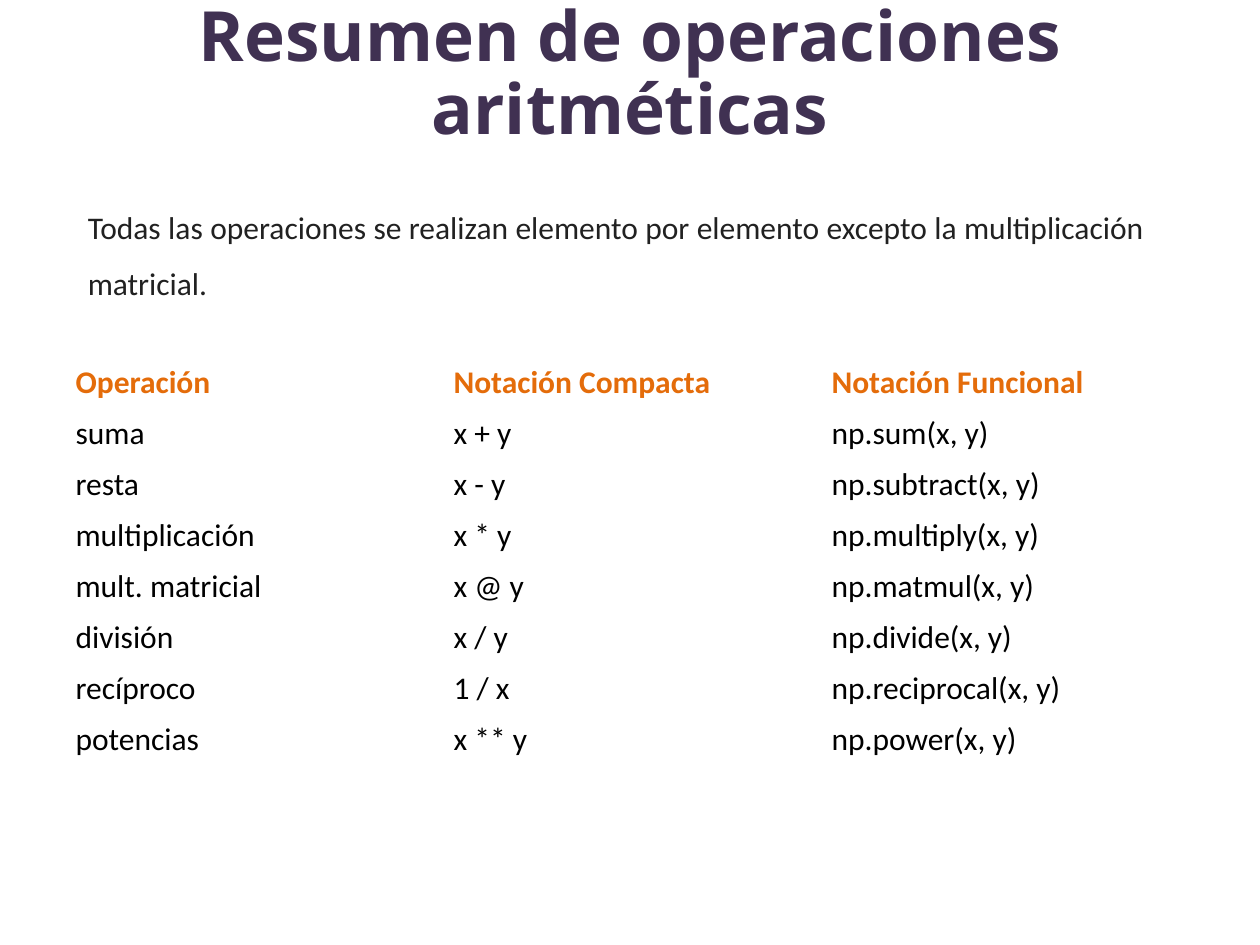
from pptx import Presentation
from pptx.dml.color import RGBColor
from pptx.enum.text import MSO_ANCHOR, MSO_AUTO_SIZE, PP_ALIGN
from pptx.util import Cm, Pt

MIDDLE = MSO_ANCHOR.MIDDLE
NO_AUTOFIT = MSO_AUTO_SIZE.NONE
LEFT, CENTER, JUSTIFY = PP_ALIGN.LEFT, PP_ALIGN.CENTER, PP_ALIGN.JUSTIFY
TITLE_ONLY = 5

PURPLE, ORANGE = "403152", "E46C0A"
GRAY, BLACK, WHITE = "212121", "000000", "FFFFFF"

OPERATIONS = [
    ("Operación", "Notación Compacta", "Notación Funcional"),
    ("suma", "x + y", "np.sum(x, y)"),
    ("resta", "x - y", "np.subtract(x, y)"),
    ("multiplicación", "x * y", "np.multiply(x, y)"),
    ("mult. matricial", "x @ y", "np.matmul(x, y)"),
    ("división", "x / y", "np.divide(x, y)"),
    ("recíproco", "1 / x", "np.reciprocal(x, y)"),
    ("potencias", "x ** y", "np.power(x, y)"),
]


def rgb(color):
    return RGBColor.from_string(color)


def write(tf, text, size=18, font="Calibri", color=BLACK, bold=False,
          align=LEFT, spacing=1.0):
    tf.word_wrap = True
    p = tf.paragraphs[0]
    p.alignment, p.line_spacing = align, spacing
    r = p.add_run()
    r.text = text
    r.font.size, r.font.name, r.font.bold = Pt(size), font, bold
    r.font.color.rgb = rgb(color)


def place_title(slide, text, x, y, w, h):
    sp = slide.shapes.title
    sp.left, sp.top, sp.width, sp.height = x, y, w, h
    tf = sp.text_frame
    tf.auto_size, tf.vertical_anchor = NO_AUTOFIT, MIDDLE
    write(tf, text, size=39.6, font="Open Sans", color=PURPLE, bold=True,
          align=CENTER, spacing=0.88)


def add_intro(slide, text, x, y, w, h):
    tf = slide.shapes.add_textbox(x, y, w, h).text_frame
    tf.vertical_anchor = MIDDLE
    write(tf, text, color=GRAY, align=JUSTIFY, spacing=1.5)


def add_operations_table(slide, rows, x, y, w, h):
    """Add a plain white table whose first row is a coloured header."""
    table = slide.shapes.add_table(len(rows), len(rows[0]), x, y, w, h).table
    for i, row in enumerate(rows):
        for j, text in enumerate(row):
            cell = table.cell(i, j)
            cell.fill.solid()
            cell.fill.fore_color.rgb = rgb(WHITE)
            cell.vertical_anchor = MIDDLE
            write(cell.text_frame, text, bold=i == 0,
                  color=ORANGE if i == 0 else BLACK)


def main():
    prs = Presentation()
    prs.slide_width, prs.slide_height = Cm(25.4), Cm(19.05)
    s = prs.slides.add_slide(prs.slide_layouts[TITLE_ONLY])
    place_title(s, "Resumen de operaciones aritméticas",
                Cm(0.79), Cm(-0.05), Cm(23.82), Cm(3.18))
    add_operations_table(s, OPERATIONS,
                         Cm(1.27), Cm(7.19), Cm(22.86), Cm(8.24))
    add_intro(s, "Todas las operaciones se realizan elemento por elemento "
                 "excepto la multiplicación matricial.",
              Cm(1.52), Cm(3.73), Cm(21.8), Cm(2.44))
    prs.save("out.pptx")


if __name__ == "__main__":
    main()
